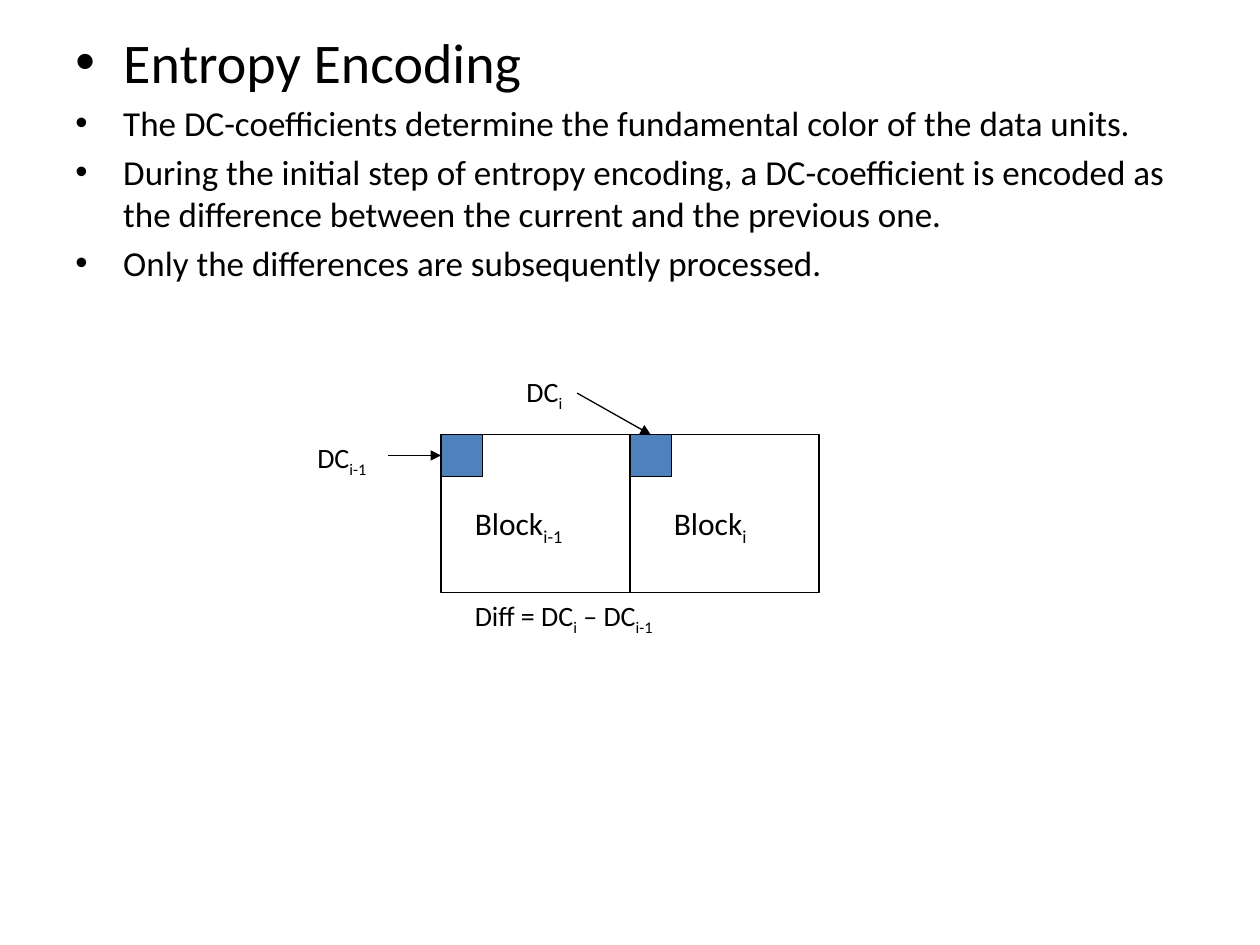
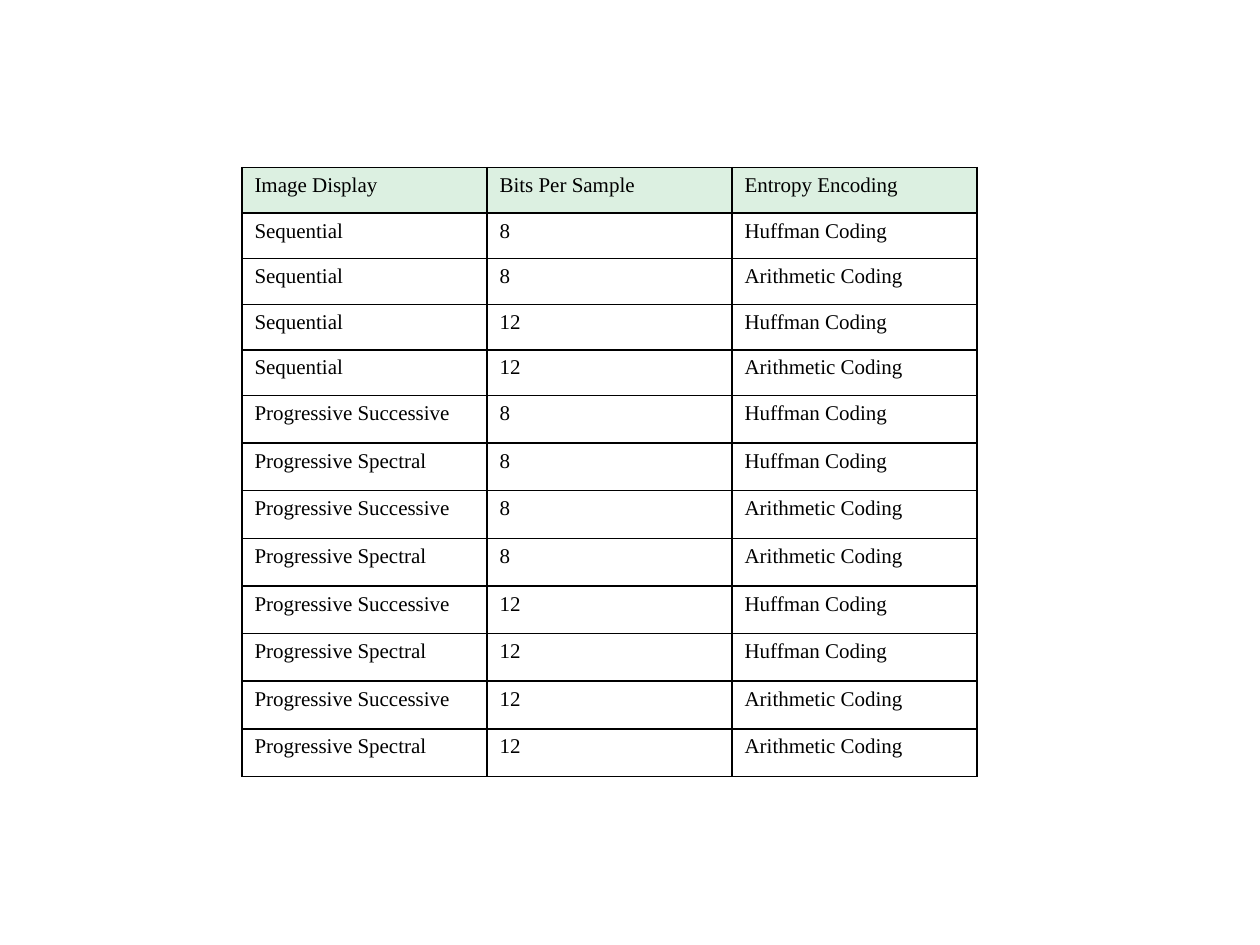
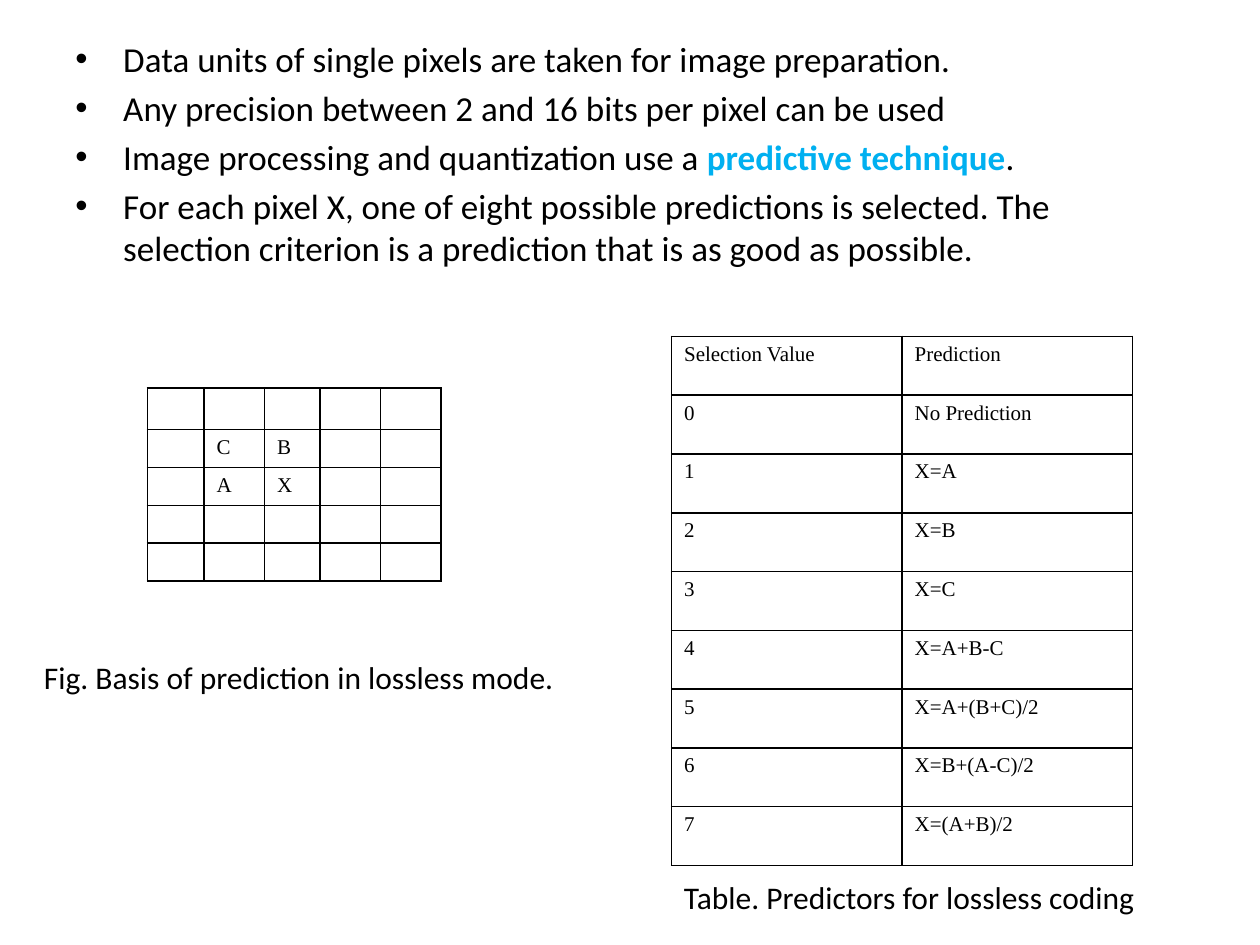
from itertools import product

from lxml.etree import SubElement
from pptx import Presentation
from pptx.dml.color import RGBColor
from pptx.enum.shapes import MSO_CONNECTOR as CONN, MSO_SHAPE as SHAPE
from pptx.oxml.ns import qn
from pptx.util import Inches, Pt

COLORS = {"ink": "000000", "coefficient": "4F81BD", "header": "DCF0E1", "accent": "00B0F0"}
BODY_FONT, TABLE_FONT = "Calibri", "Times New Roman"
HANG = Inches(0.38)
SUB = {"sub": True}
DC_NOW = ["DC", ("i", SUB)]
DC_BEFORE = ["DC", ("i-1", SUB)]


def rgb(name):
    return RGBColor.from_string(COLORS[name])


def add_runs(p, runs, size, font=BODY_FONT):
    """Add runs, each a string or a (string, style) pair."""
    for run in runs:
        text, style = (run, {}) if isinstance(run, str) else run
        r = p.add_run()
        r.text = text
        formats = {"name": font, "size": Pt(size), "bold": style.get("bold", False)}
        for key, value in formats.items():
            setattr(r.font, key, value)
        r.font.color.rgb = rgb(style.get("color", "ink"))
        if style.get("sub"):
            r._r.get_or_add_rPr().set("baseline", "-25000")


def hang_indent(p):
    pPr = p._p.get_or_add_pPr()
    pPr.set("marL", str(HANG))
    pPr.set("indent", str(-HANG))
    return pPr


def add_text_box(parent, left, top, width, height):
    tf = parent.shapes.add_textbox(*map(Inches, (left, top, width, height))).text_frame
    tf.word_wrap = True
    return tf


def add_label(parent, left, top, width, height, runs, size):
    tf = add_text_box(parent, left, top, width, height)
    add_runs(tf.paragraphs[0], runs, size)


def add_bullets(s, left, top, width, height, items):
    """Fill a box with bullets, each given as (runs, size)."""
    tf = add_text_box(s, left, top, width, height)
    for i, (runs, size) in enumerate(items):
        p = tf.add_paragraph() if i else tf.paragraphs[0]
        pPr = hang_indent(p)
        SubElement(pPr, qn("a:buFont"), typeface="Arial")
        SubElement(pPr, qn("a:buChar"), char="•")
        if i:
            p.space_before = Pt(size * 0.2)
        add_runs(p, runs, size)


def add_rect(parent, left, top, width, height, fill=None):
    sp = parent.shapes.add_shape(SHAPE.RECTANGLE, *map(Inches, (left, top, width, height)))
    sp.shadow.inherit = False
    if fill:
        sp.fill.solid()
        sp.fill.fore_color.rgb = rgb(fill)
    else:
        sp.fill.background()
    sp.line.color.rgb = rgb("ink")
    sp.line.width = Pt(0.75)


def add_arrow(parent, x1, y1, x2, y2):
    line = parent.shapes.add_connector(CONN.STRAIGHT, *map(Inches, (x1, y1, x2, y2)))
    line.line.color.rgb = rgb("ink")
    line.line.width = Pt(0.75)
    SubElement(line.line._get_or_add_ln(), qn("a:tailEnd"), type="triangle")
    SubElement(line._element.spPr, qn("a:effectLst"))


def add_block_diagram(s, left, top):
    """Draw two neighbouring blocks, their DC coefficients and the difference."""
    group = s.shapes.add_group_shape()
    width, height, corner = 1.5, 1.25, 0.33
    x, y = left + 1.08, top + 0.53
    for i, (index, inset) in enumerate([("i-1", 0.17), ("i", 0.25)]):
        block_x = x + i * width
        add_rect(group, block_x, y, width, height)
        add_rect(group, block_x, y, corner, corner, "coefficient")
        add_label(group, block_x + inset, y + 0.5, 1, 0.4, ["Block", (index, SUB)], 18)
    add_label(group, left, y, 0.92, 0.37, DC_BEFORE, 16)
    add_label(group, left + 1.66, top, 0.58, 0.37, DC_NOW, 16)
    add_arrow(group, left + 0.66, y + corner / 2, x, y + corner / 2)
    add_arrow(group, left + 2.16, top + 0.2, x + width + corner / 2, y)
    add_label(group, x + 0.17, y + height, 2.08, 0.37,
              ["Diff = ", *DC_NOW, " – ", *DC_BEFORE], 16)


def style_cell(cell, text, fill=None, hanging=False):
    p = cell.text_frame.paragraphs[0]
    if hanging:
        hang_indent(p)
    if text:
        add_runs(p, [text], 12, TABLE_FONT)
    else:
        SubElement(p._p, qn("a:endParaRPr"), sz="1200")
    tcPr = cell._tc.get_or_add_tcPr()
    for side in "LRTB":
        ln = SubElement(tcPr, qn(f"a:ln{side}"), w=str(Pt(1)))
        SubElement(SubElement(ln, qn("a:solidFill")), qn("a:srgbClr"), val=COLORS["ink"])
    if fill:
        cell.fill.solid()
        cell.fill.fore_color.rgb = rgb(fill)
    else:
        cell.fill.background()


def add_grid(s, left, top, widths, heights, rows, header=None, hanging=False):
    """Add a ruled table; header names the fill of the first row."""
    box = map(Inches, (left, top, sum(widths), sum(heights)))
    table = s.shapes.add_table(len(heights), len(widths), *box).table
    table.first_row = table.horz_banding = False
    for col, width in zip(table.columns, widths):
        col.width = Inches(width)
    for row, height in zip(table.rows, heights):
        row.height = Inches(height)
    for i, row in enumerate(rows):
        for j, text in enumerate(row):
            style_cell(table.cell(i, j), text, None if i else header, hanging)


def build_entropy_slide(s):
    add_bullets(s, 0.5, 0.17, 9, 2.67, [
        (["Entropy Encoding"], 32),
        (["The DC-coefficients determine the fundamental color of the data units."], 20),
        (["During the initial step of entropy encoding, a DC-coefficient is encoded as "
          "the difference between the current and the previous one."], 20),
        (["Only the differences are subsequently processed."], 20),
    ])
    add_block_diagram(s, 2.42, 2.92)


def build_modes_slide(s):
    bits, codings = ("8", "12"), ("Huffman Coding", "Arithmetic Coding")
    scans = ("Progressive Successive", "Progressive Spectral")
    rows = [("Image Display", "Bits Per Sample", "Entropy Encoding")]
    rows += [("Sequential", b, c) for b, c in product(bits, codings)]
    rows += [(scan, b, c) for b, c, scan in product(bits, codings, scans)]
    add_grid(s, 1.92, 1.33, [1.945] * 3, [0.362] * 5 + [0.378] * 8, rows, header="header")


def build_lossless_slide(s):
    technique = ("predictive technique", {"bold": True, "color": "accent"})
    add_bullets(s, 0.5, 0.25, 9, 2.42, [(runs, 20) for runs in (
        ["Data units of single pixels are taken for image preparation."],
        ["Any precision between 2 and 16 bits per pixel can be used"],
        ["Image processing and quantization use a ", technique, "."],
        ["For each pixel X, one of eight possible predictions is selected. "
         "The selection criterion is a prediction that is as good as possible."],
    )])

    empty = [""] * 5
    pixels = [empty, ["", "C", "B", "", ""], ["", "A", "X", "", ""], empty, empty]
    add_grid(s, 1.17, 3.08, [0.45, 0.48, 0.44, 0.48, 0.48], [0.33] + [0.29] * 4, pixels)
    add_label(s, 0.25, 5.17, 5.25, 0.4, ["Fig. Basis of prediction in lossless mode."], 18)

    predictions = ["No Prediction", "X=A", "X=B", "X=C", "X=A+B-C",
                   "X=A+(B+C)/2", "X=B+(A-C)/2", "X=(A+B)/2"]
    rows = [("Selection Value", "Prediction")]
    rows += [(str(value), rule) for value, rule in enumerate(predictions)]
    add_grid(s, 5.33, 2.67, [1.83] * 2, [4.2 / len(rows)] * len(rows), rows, hanging=True)
    add_label(s, 5.33, 6.92, 3.81, 0.4, ["Table. Predictors for lossless coding"], 18)


def main():
    prs = Presentation()
    prs.slide_width, prs.slide_height = Inches(10), Inches(7.5)
    for build in (build_entropy_slide, build_modes_slide, build_lossless_slide):
        build(prs.slides.add_slide(prs.slide_layouts[6]))
    prs.save("out.pptx")


if __name__ == "__main__":
    main()
